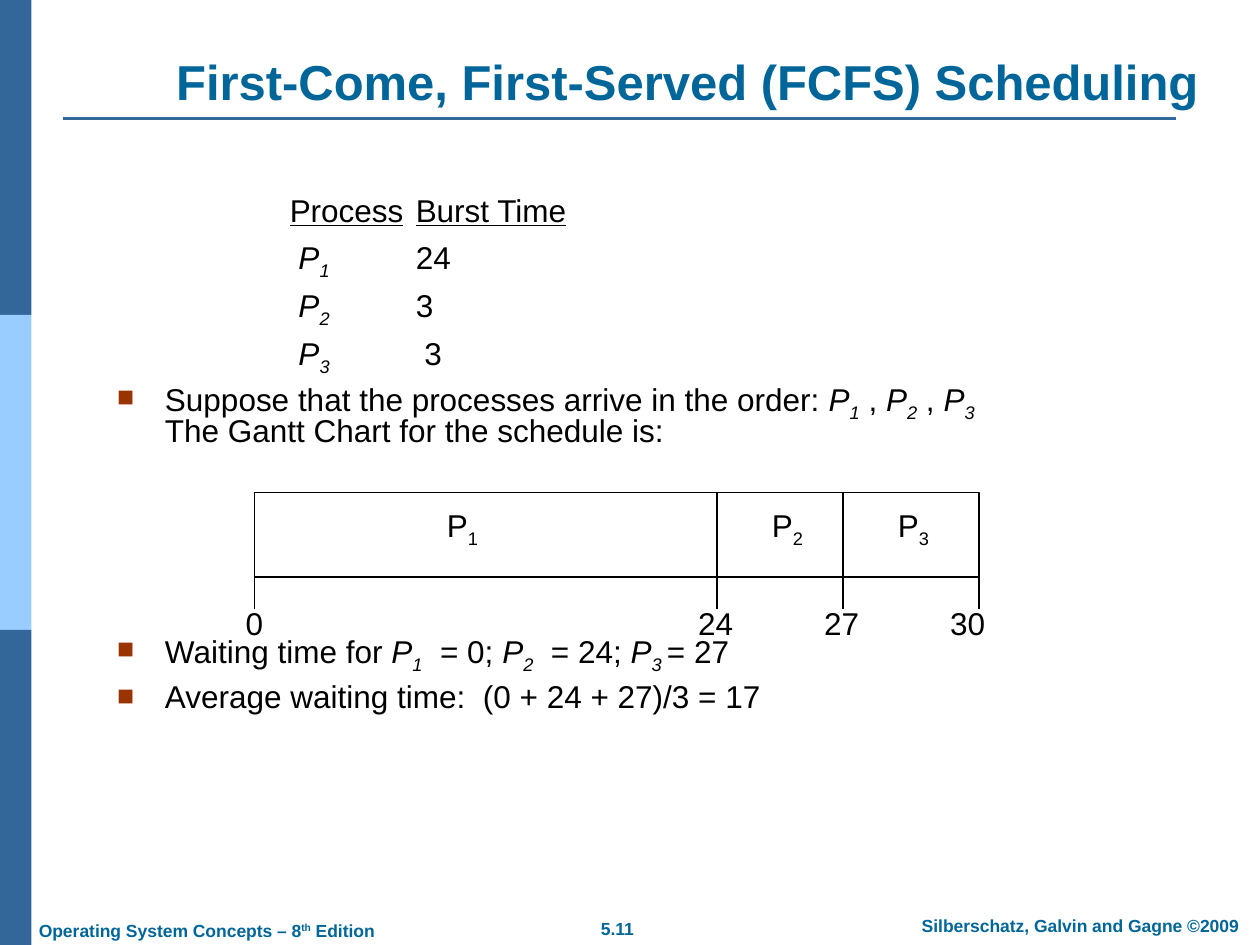
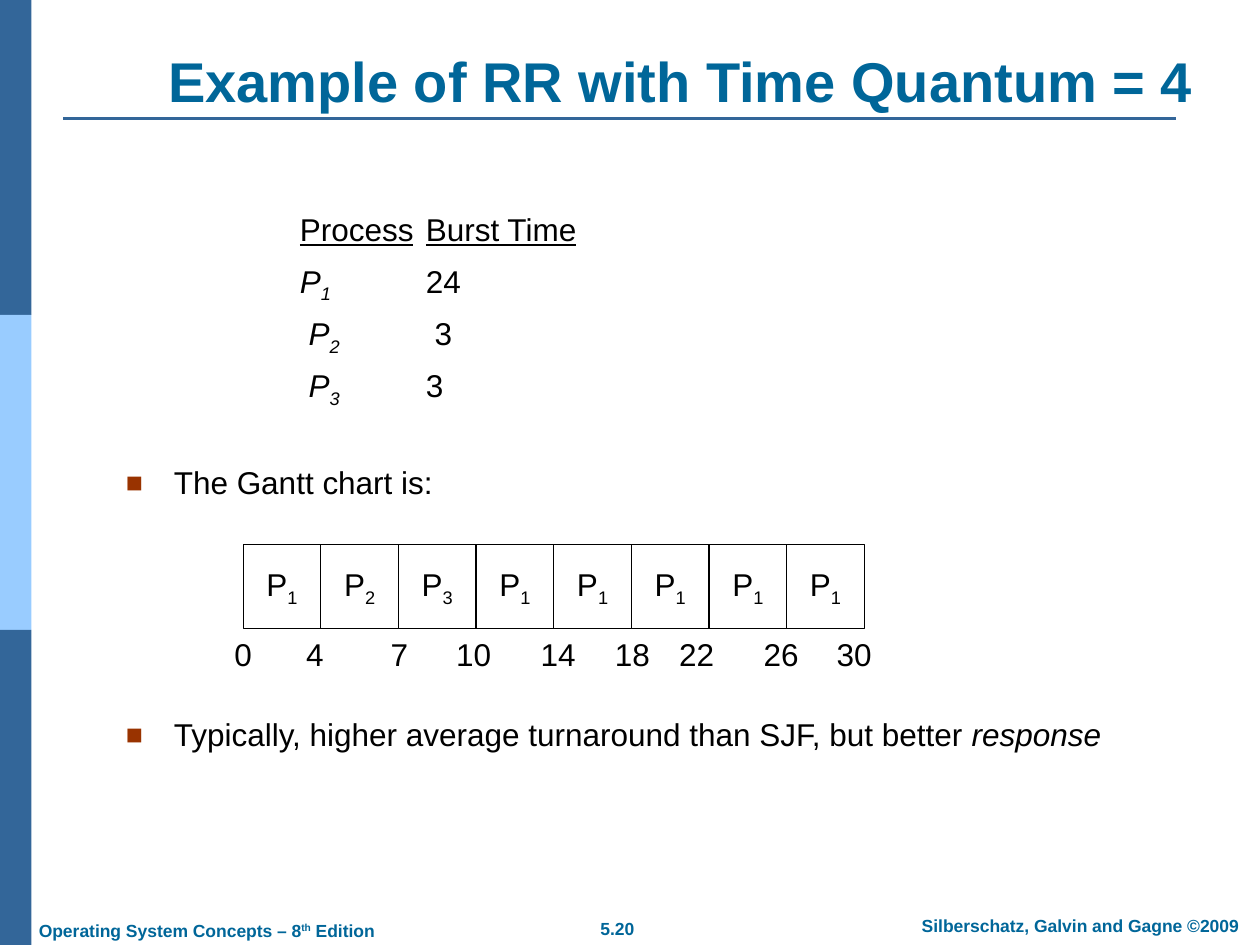
from lxml import etree
from pptx import Presentation
from pptx.dml.color import RGBColor
from pptx.enum.shapes import MSO_CONNECTOR as Connector, MSO_SHAPE as Shape
from pptx.enum.text import MSO_ANCHOR as Anchor, PP_ALIGN as Align
from pptx.oxml.ns import qn
from pptx.util import Inches, Pt

FONT = "Arial"
COLORS = {
    "band": "336699",
    "band_light": "99CCFF",
    "title": "006699",
    "text": "000000",
    "bullet": "993300",
    "paper": "FFFFFF",
}
BODY_SIZE = 18
BREAK = ("\n", "")


def color(name):
    return RGBColor.from_string(COLORS[name])


def inches(*lengths):
    return [Inches(length) for length in lengths]


def process(number, flags="i"):
    """Spans of a process name with its subscript number."""
    return [("P", flags), (str(number), flags + "-")]


def add_spans(para, spans, size=BODY_SIZE, tint="text", bold=False):
    """Flags of a span: i italic, u underline, - subscript, + superscript."""
    for text, flags in spans:
        if text == "\n":
            para.add_line_break()
            continue
        run = para.add_run()
        run.text = text
        font = run.font
        font.name, font.size, font.bold = FONT, Pt(size), bold
        font.color.rgb = color(tint)
        font.italic = "i" in flags
        font.underline = "u" in flags
        if "-" in flags or "+" in flags:
            shift = "-25000" if "-" in flags else "30000"
            run._r.get_or_add_rPr().set("baseline", shift)


def add_text_box(page, box, margin=0, anchor=Anchor.TOP, wrap=True):
    frame = page.shapes.add_textbox(*inches(*box)).text_frame
    frame.margin_left = frame.margin_right = Inches(margin)
    frame.margin_top = frame.margin_bottom = Inches(margin / 2)
    frame.vertical_anchor = anchor
    frame.word_wrap = wrap
    return frame


def add_paragraphs(frame, rows, spacing, prepare):
    """Fill the frame with one paragraph per row, prepared before its runs."""
    for index, spans in enumerate(rows):
        para = frame.add_paragraph() if index else frame.paragraphs[0]
        para.line_spacing = spacing
        para.space_before = Pt(7.9 if index else 0)
        prepare(para._p.get_or_add_pPr())
        add_spans(para, spans)


def set_bullet(props):
    props.set("marL", str(Inches(0.38)))
    props.set("indent", str(-Inches(0.38)))
    tint = etree.SubElement(props, qn("a:buClr"))
    etree.SubElement(tint, qn("a:srgbClr"), val=COLORS["bullet"])
    etree.SubElement(props, qn("a:buSzPct"), val="90000")
    etree.SubElement(props, qn("a:buFont"), typeface=FONT)
    etree.SubElement(props, qn("a:buChar"), char="■")


def set_burst_tab(props):
    tabs = etree.SubElement(props, qn("a:tabLst"))
    etree.SubElement(tabs, qn("a:tab"), pos=str(Inches(1)), algn="l")


def add_bullets(page, box, rows, spacing):
    add_paragraphs(add_text_box(page, box), rows, spacing, set_bullet)


def add_burst_times(page, box, rows, spacing):
    header = [("Process", "u"), ("\t", ""), ("Burst Time", "u")]
    add_paragraphs(add_text_box(page, box), [header] + rows, spacing, set_burst_tab)


def add_rect(page, box, fill, outline=None):
    rect = page.shapes.add_shape(Shape.RECTANGLE, *inches(*box))
    rect.shadow.inherit = False
    rect.fill.solid()
    rect.fill.fore_color.rgb = color(fill)
    if outline:
        rect.line.color.rgb = color(outline)
        rect.line.width = Pt(0.75)
    else:
        rect.line.fill.background()
    return rect


def add_line(page, start, end, tint="text", width=0.75):
    line = page.shapes.add_connector(Connector.STRAIGHT, *inches(*start, *end))
    line.line.color.rgb = color(tint)
    line.line.width = Pt(width)
    etree.SubElement(line._element.spPr, qn("a:effectLst"))


def add_label(page, center, middle, spans):
    """Put a short text around a point."""
    width, height = 0.5, 0.4
    box = (center - width / 2, middle - height / 2, width, height)
    frame = add_text_box(page, box, anchor=Anchor.MIDDLE, wrap=False)
    frame.paragraphs[0].alignment = Align.CENTER
    add_spans(frame.paragraphs[0], spans)


def add_times(page, left, middle, times):
    """Label the time axis; times maps each time to its offset from left."""
    for time, offset in times.items():
        add_label(page, left + offset, middle, [(str(time), "")])


def add_fcfs_gantt(page, box):
    left, top, width, height = box
    bottom = top + height
    add_rect(page, box, "paper", "text")
    for number, offset in enumerate((1.65, 4.23, 5.23), start=1):
        add_label(page, left + offset, top + 0.28, process(number, ""))
    for offset in (0, 3.67, 4.67, width):
        add_line(page, (left + offset, top), (left + offset, bottom + 0.25))
    add_times(page, left, bottom + 0.36, {0: 0, 24: 3.66, 27: 4.66, 30: 5.66})


def add_round_robin_gantt(page, box, order):
    left, top, width, height = box
    cell_width = width / len(order)
    for index, number in enumerate(order):
        cell_box = (left + index * cell_width, top, cell_width, height)
        cell = add_rect(page, cell_box, "paper", "text")
        frame = cell.text_frame
        frame.word_wrap = False
        frame.vertical_anchor = Anchor.MIDDLE
        frame.paragraphs[0].alignment = Align.CENTER
        add_spans(frame.paragraphs[0], process(number, ""))
    times = {0: 0, 4: 0.57, 7: 1.24, 10: 1.83, 14: 2.5, 18: 3.09,
             22: 3.6, 26: 4.27, 30: 4.85}
    add_times(page, left, top + height + 0.2, times)


def add_side_band(page, box):
    left, top, width, height = box
    part = height / 3
    for index, fill in enumerate(("band", "band_light", "band")):
        add_rect(page, (left, top + index * part, width, part), fill)


def add_footer(page, number):
    edition = [("Operating System Concepts – 8", ""), ("th", "+"), (" Edition", "")]
    owners = [("Silberschatz, Galvin and Gagne ©2009", "")]
    footers = (
        ((0.21, 7.25, 3.2, 0.25), edition, Align.LEFT),
        ((4.41, 7.24, 0.98, 0.25), [(number, "")], Align.CENTER),
        ((6.73, 7.21, 3.2, 0.25), owners, Align.RIGHT),
    )
    for box, spans, align in footers:
        para = add_text_box(page, box, margin=0.1).paragraphs[0]
        para.alignment = align
        add_spans(para, spans, 10, "title", bold=True)


def add_page(deck, title, title_box, title_size, number):
    """Add a slide with the shared bands, rule, title and footer."""
    page = deck.slides.add_slide(deck.slide_layouts[5])
    add_side_band(page, (0, 0, 0.25, 7.5))
    add_line(page, (0.5, 0.94), (9.33, 0.94), "band", 1.5)
    add_footer(page, number)
    holder = page.shapes.title
    holder.left, holder.top, holder.width, holder.height = inches(*title_box)
    frame = holder.text_frame
    frame.vertical_anchor = Anchor.BOTTOM
    frame.paragraphs[0].alignment = Align.CENTER
    add_spans(frame.paragraphs[0], [(title, "")], title_size, "title", bold=True)
    return page


def build_fcfs_page(deck):
    page = add_page(deck, "First-Come, First-Served (FCFS) Scheduling",
                    (1.08, 0.43, 8.75, 0.5), 28, "5.11")
    bursts = [[(" ", ""), *process(number), ("\t" + burst, "")]
              for number, burst in enumerate(("24", "3", " 3"), start=1)]
    add_burst_times(page, (2.3, 1.57, 3, 1.45), bursts, 0.8)
    comma = (" , ", "")
    arrival = [("Suppose that the processes arrive in the order: ", ""),
               *process(1), comma, *process(2), comma, *process(3), BREAK,
               ("The Gantt Chart for the schedule is:", "")]
    add_bullets(page, (0.93, 3.05, 8, 0.6), [arrival], 0.8)
    add_fcfs_gantt(page, (2.02, 3.91, 5.75, 0.67))
    waiting = [("Waiting time for ", ""), *process(1), ("  = 0; ", ""),
               *process(2), ("  = 24; ", ""), *process("3 "), ("= 27", "")]
    average = [("Average waiting time:  (0 + 24 + 27)/3 = 17", "")]
    add_bullets(page, (0.93, 5.05, 8, 0.7), [waiting, average], 0.8)


def build_round_robin_page(deck):
    page = add_page(deck, "Example of RR with Time Quantum = 4",
                    (1, 0.03, 8.81, 0.92), 32, "5.20")
    bursts = [[(indent, ""), *process(number), ("\t" + burst, "")]
              for number, (indent, burst)
              in enumerate((("", "24"), (" ", " 3"), (" ", "3")), start=1)]
    add_burst_times(page, (2.38, 1.7, 3, 1.65), bursts, 0.9)
    add_bullets(page, (1, 3.71, 7.8, 0.35), [[("The Gantt chart is:", "")]], 0.9)
    add_round_robin_gantt(page, (1.93, 4.32, 4.93, 0.67), (1, 2, 3, 1, 1, 1, 1, 1))
    turnaround = [("Typically, higher average turnaround than SJF, but better ", ""),
                  ("response", "i")]
    add_bullets(page, (1, 5.71, 7.9, 0.35), [turnaround], 0.9)


def main():
    deck = Presentation()
    deck.slide_width, deck.slide_height = inches(10, 7.5)
    build_fcfs_page(deck)
    build_round_robin_page(deck)
    deck.save("out.pptx")


if __name__ == "__main__":
    main()
